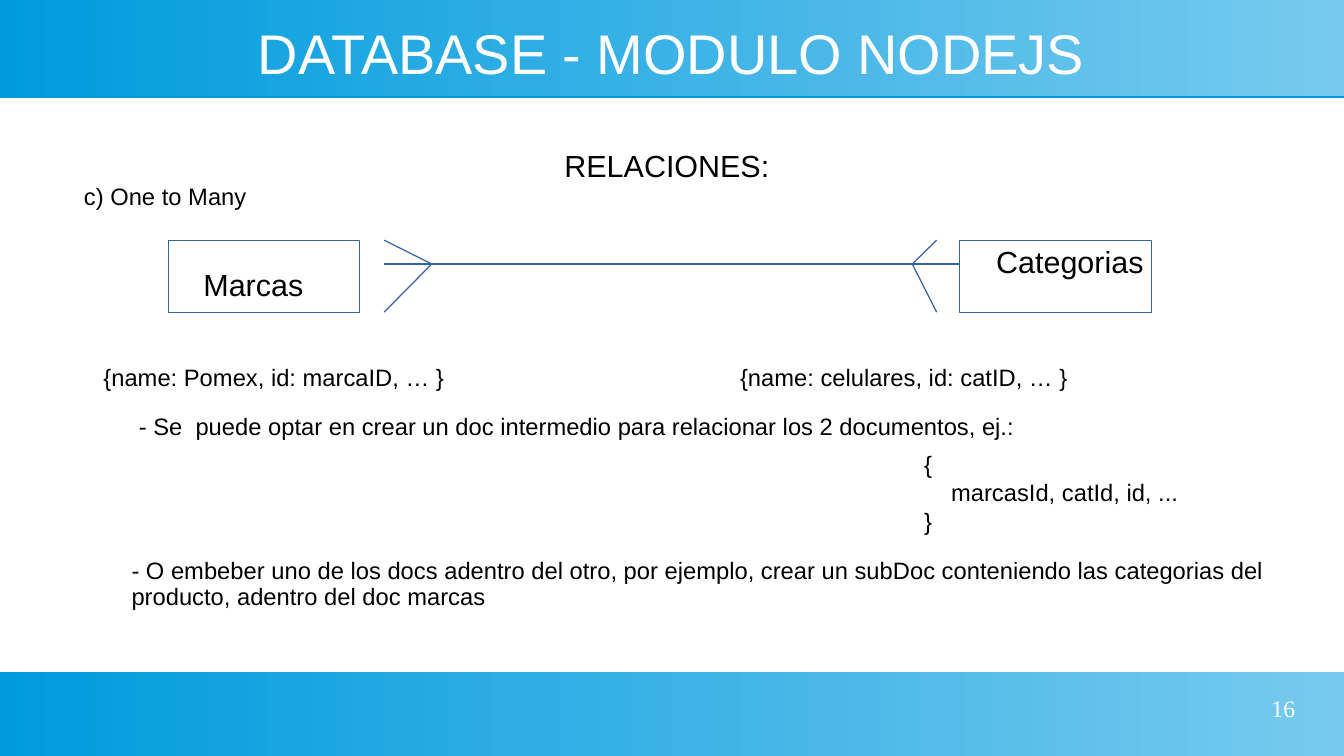
from dataclasses import dataclass

from lxml import etree
from pptx import Presentation
from pptx.dml.color import RGBColor
from pptx.enum import shapes, text
from pptx.oxml import ns
from pptx.util import Inches, Pt

BLACK = RGBColor(0x00, 0x00, 0x00)
WHITE = RGBColor(0xFF, 0xFF, 0xFF)
LINE_BLUE = RGBColor(0x34, 0x65, 0xA4)
BAND_LIGHT = RGBColor(0x77, 0xCA, 0xEE)
BAND_DARK = RGBColor(0x00, 0x9B, 0xDD)

SLIDE_WIDTH, SLIDE_HEIGHT = 11.02, 6.2
ENTITY_TOP, ENTITY_WIDTH, ENTITY_HEIGHT = 1.97, 1.57, 0.59
ENTITY_BOTTOM = ENTITY_TOP + ENTITY_HEIGHT
LINK_Y = 2.165
LEFT_JOINT, RIGHT_JOINT = 3.54, 7.48


@dataclass
class Label:
    lines: list[str]
    left: float
    top: float
    width: float
    height: float = 0.32
    size: float = 14
    font: str = "Arial"
    color: RGBColor = BLACK
    align: text.PP_ALIGN = text.PP_ALIGN.LEFT
    anchor: text.MSO_ANCHOR = text.MSO_ANCHOR.TOP
    margin_x: float = 0.1
    margin_y: float = 0.05
    indented_line: int = -1


@dataclass
class Segment:
    x1: float
    y1: float
    x2: float
    y2: float


LABELS = [
    Label(["DATABASE - MODULO NODEJS"], 0.39, 0.2, 10.23, 0.52, 33, color=WHITE,
          align=text.PP_ALIGN.CENTER, anchor=text.MSO_ANCHOR.MIDDLE, margin_x=0, margin_y=0),
    Label(["c) One to Many"], 0.59, 1.46, 3.09),
    Label(["RELACIONES:"], 4.53, 1.18, 2.1, 0.38, 18),
    Label(["Marcas"], 1.57, 2.16, 1.2, 0.38, 18),
    Label(["Categorias"], 8.07, 1.97, 1.6, 0.38, 18),
    Label(["{name: Pomex, id: marcaID, … }"], 0.75, 2.95, 3.2),
    Label(["{name: celulares, id: catID, … }"], 5.97, 2.95, 3.2),
    Label(["- Se  puede optar en crear un doc intermedio para relacionar los 2 documentos, ej.:"],
          1.04, 3.35, 7.8),
    Label(["{", "marcasId, catId, id, ...", "}"], 7.48, 3.66, 2.65, 0.78, indented_line=1),
    Label(["- O embeber uno de los docs adentro del otro, por ejemplo, crear un subDoc "
           "conteniendo las categorias del producto, adentro del doc marcas"],
          0.98, 4.53, 9.65, 0.53),
    Label(["16"], 8.07, 5.71, 2.55, 0.39, font="Times New Roman", color=WHITE,
          align=text.PP_ALIGN.RIGHT, margin_x=0, margin_y=0),
]

SEGMENTS = [
    # Main link with its left crow's foot
    Segment(3.15, LINK_Y, RIGHT_JOINT, LINK_Y),
    Segment(3.15, ENTITY_TOP, LEFT_JOINT, LINK_Y),
    Segment(3.15, ENTITY_BOTTOM, LEFT_JOINT, LINK_Y),
    # Right crow's foot
    Segment(RIGHT_JOINT, LINK_Y, 7.68, ENTITY_TOP),
    Segment(RIGHT_JOINT, LINK_Y, 7.68, ENTITY_BOTTOM),
    Segment(RIGHT_JOINT, LINK_Y, 7.87, LINK_Y),
]


def add_rectangle(slide, left: float, top: float, width: float, height: float):
    shape = slide.shapes.add_shape(shapes.MSO_SHAPE.RECTANGLE, Inches(left), Inches(top),
                                   Inches(width), Inches(height))
    shape.shadow.inherit = False
    return shape


def add_band(slide, top: float, height: float) -> None:
    band = add_rectangle(slide, 0, top, SLIDE_WIDTH, height)
    band.line.fill.background()
    band.fill.gradient()
    band.fill.gradient_angle = 180
    for stop, position, color in zip(band.fill.gradient_stops, (0, 1), (BAND_LIGHT, BAND_DARK)):
        stop.position = position
        stop.color.rgb = color
    # Thin darker edge below the band
    effects = band._element.spPr.find(ns.qn("a:effectLst"))
    shadow = etree.SubElement(effects, ns.qn("a:outerShdw"), blurRad="0", dist=str(Pt(0.9)),
                              dir="5400000", algn="ctr", rotWithShape="0")
    etree.SubElement(shadow, ns.qn("a:srgbClr"), val=str(BAND_DARK))


def add_entity(slide, left: float) -> None:
    entity = add_rectangle(slide, left, ENTITY_TOP, ENTITY_WIDTH, ENTITY_HEIGHT)
    entity.fill.background()
    entity.line.color.rgb = LINE_BLUE
    entity.line.width = Pt(0.75)


def add_segment(slide, segment: Segment) -> None:
    connector = slide.shapes.add_connector(
        shapes.MSO_CONNECTOR.STRAIGHT, Inches(segment.x1), Inches(segment.y1),
        Inches(segment.x2), Inches(segment.y2))
    connector.line.color.rgb = LINE_BLUE
    connector.line.width = Pt(0.75)
    etree.SubElement(connector._element.spPr, ns.qn("a:effectLst"))


def add_label(slide, label: Label) -> None:
    box = slide.shapes.add_textbox(Inches(label.left), Inches(label.top),
                                   Inches(label.width), Inches(label.height))
    frame = box.text_frame
    frame.word_wrap = True
    frame.vertical_anchor = label.anchor
    frame.margin_left = frame.margin_right = Inches(label.margin_x)
    frame.margin_top = frame.margin_bottom = Inches(label.margin_y)
    frame.text = "\n".join(label.lines)
    for index, paragraph in enumerate(frame.paragraphs):
        paragraph.alignment = label.align
        paragraph.line_spacing = 0.93
        paragraph.space_before = paragraph.space_after = Pt(0.6)
        if index == label.indented_line:
            paragraph._p.get_or_add_pPr().set("marL", str(Inches(0.22)))
        for run in paragraph.runs:
            run.font.size = Pt(label.size)
            run.font.name = label.font
            run.font.color.rgb = label.color


def main() -> None:
    presentation = Presentation()
    presentation.slide_width = Inches(SLIDE_WIDTH)
    presentation.slide_height = Inches(SLIDE_HEIGHT)
    slide = presentation.slides.add_slide(presentation.slide_layouts[6])

    # Header and footer bands
    add_band(slide, 0, 0.79)
    add_band(slide, 5.51, 0.69)

    # Relationship diagram
    for segment in SEGMENTS:
        add_segment(slide, segment)
    for left in (1.38, 7.87):
        add_entity(slide, left)

    # Texts
    for label in LABELS:
        add_label(slide, label)

    presentation.save("out.pptx")


if __name__ == "__main__":
    main()
